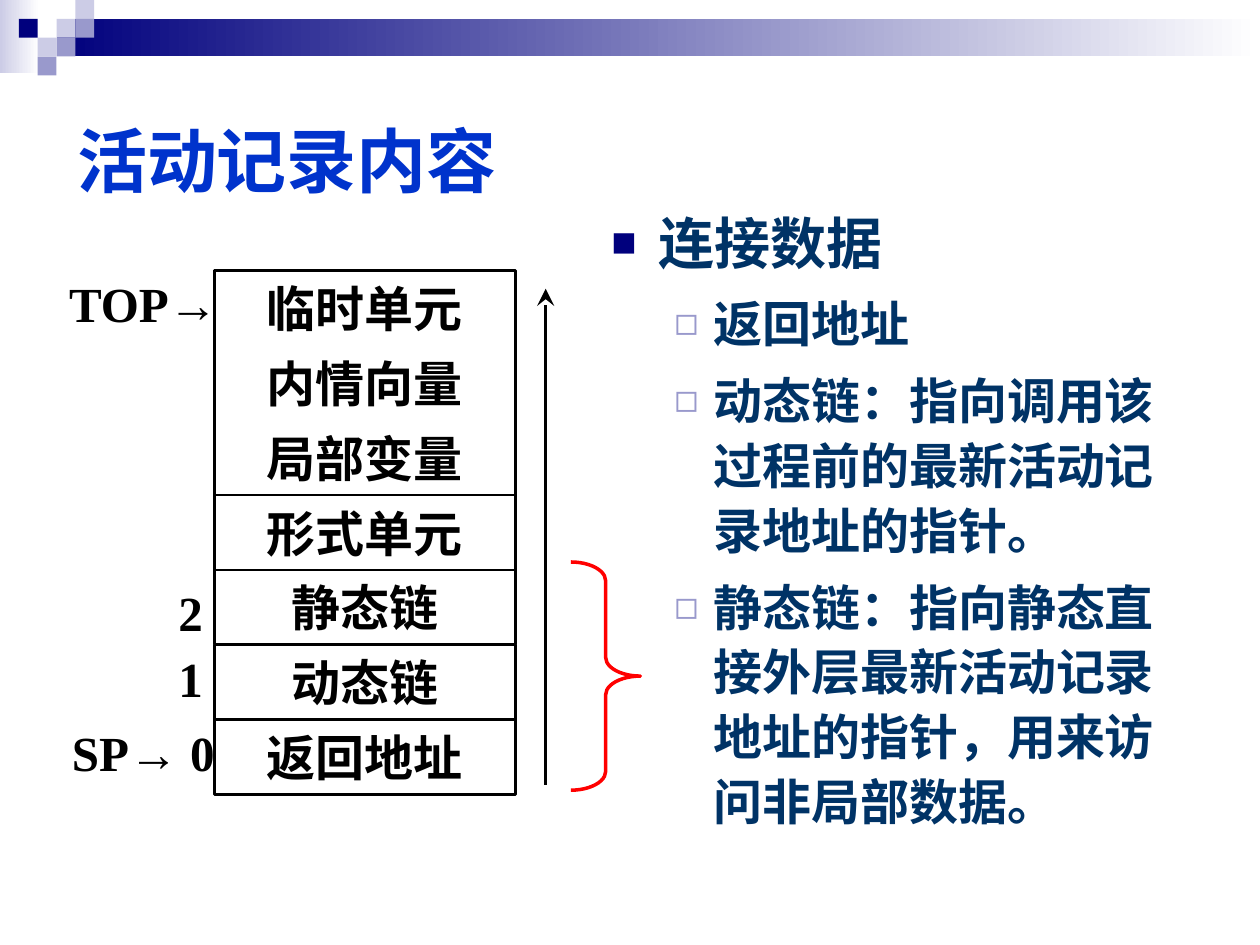
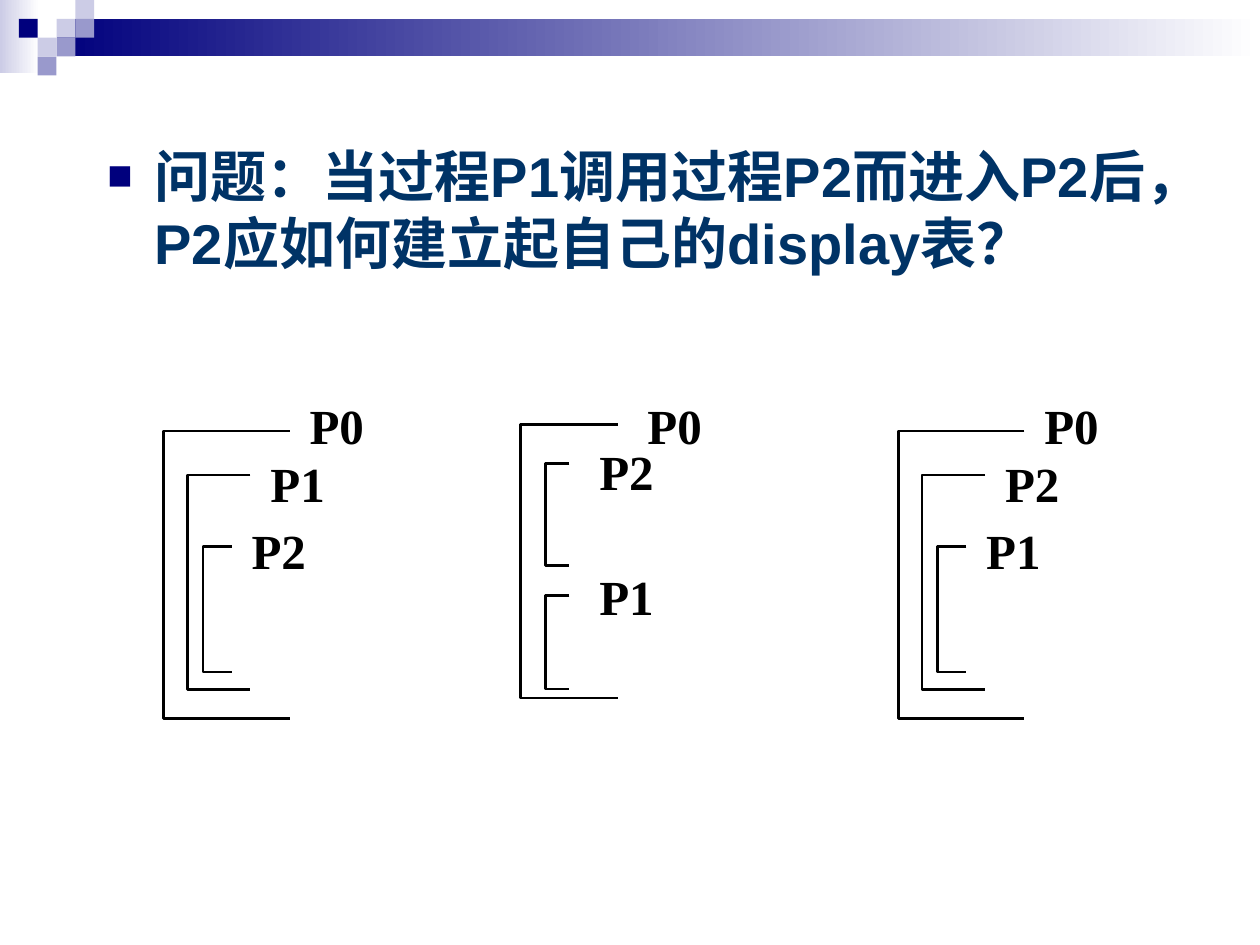
import pptx
import pptx.dml.color
import pptx.enum.dml
import pptx.enum.shapes
import pptx.enum.text
import pptx.oxml
import pptx.oxml.ns
import pptx.util

Cm = pptx.util.Cm
Pt = pptx.util.Pt
Kind = pptx.enum.shapes.MSO_SHAPE
Align = pptx.enum.text.PP_ALIGN
Anchor = pptx.enum.text.MSO_ANCHOR

NAVY, PALE, LILAC = "00007D", "CCCCE6", "9999CC"
BLUE, INK, BLACK, WHITE, RED = "0033CC", "003366", "000000", "FFFFFF", "FF0000"
SANS, SERIF = "Arial", "Times New Roman"

TILE = 0.38
TILES = [(3, 1, PALE), (4, 0, PALE), (4, 1, LILAC), (2, 2, PALE),
         (1, 1, NAVY), (3, 2, LILAC), (2, 3, LILAC)]
LEVELS = [
    dict(mark="■", tint=NAVY, part=75, left=0.95, hang=0.95, size=32, before=8),
    dict(mark="◻", tint=LILAC, part=80, left=2.06, hang=0.79, size=28, before=7),
]


def rgb(code):
    return pptx.dml.color.RGBColor.from_string(code)


def node(tag, **attrs):
    item = pptx.oxml.parse_xml(f"<a:{tag} {pptx.oxml.ns.nsdecls('a')}/>")
    for key, value in attrs.items():
        item.set(key, str(value))
    return item


def write(par, text, size=28, color=BLACK, font=SERIF, align=None):
    if align is not None:
        par.alignment = align
    parts = [(text, font)] if isinstance(text, str) else text
    for words, face in parts:
        run = par.add_run()
        run.text = words
        run.font.size = Pt(size)
        run.font.bold = True
        run.font.name = face
        run.font.color.rgb = rgb(color)


class Deck:
    def __init__(self):
        self.file = pptx.Presentation()
        self.file.slide_width = Cm(25.4)
        self.file.slide_height = Cm(19.05)

    def start(self):
        self.slide = self.file.slides.add_slide(self.file.slide_layouts[1])
        self.shapes = self.slide.shapes
        self.fade(0, 0, 0.79, 1.47, PALE)
        self.fade(1.14, TILE, 24.26, 0.76, NAVY)
        for col, row, color in TILES:
            tile = self.box(col * TILE, row * TILE, TILE, TILE, line=None)
            tile.fill.solid()
            tile.fill.fore_color.rgb = rgb(color)

    def place(self, item, x, y, w, h):
        item.left, item.top, item.width, item.height = Cm(x), Cm(y), Cm(w), Cm(h)

    def style(self, shape, line, width=1.5):
        shape.shadow.inherit = False
        shape.fill.background()
        if line:
            shape.line.color.rgb = rgb(line)
            shape.line.width = Pt(width)
        else:
            shape.line.fill.background()

    def box(self, x, y, w, h, line=BLACK, width=1.5, kind=Kind.RECTANGLE):
        shape = self.shapes.add_shape(kind, Cm(x), Cm(y), Cm(w), Cm(h))
        self.style(shape, line, width)
        return shape

    def fade(self, x, y, w, h, color):
        shape = self.box(x, y, w, h, line=None)
        shape.fill.gradient()
        shape.fill.gradient_angle = 0
        for stop, code in zip(shape.fill.gradient_stops, (color, WHITE)):
            stop.color.rgb = rgb(code)

    def fill(self, shape, text, align=Align.CENTER):
        frame = shape.text_frame
        frame.word_wrap = False
        frame.vertical_anchor = Anchor.MIDDLE
        write(frame.paragraphs[0], text, align=align)

    def label(self, x, y, w, h, text, align=Align.CENTER):
        shape = self.shapes.add_textbox(Cm(x), Cm(y), Cm(w), Cm(h))
        self.fill(shape, text, align)

    def title(self, text, x, y, w, h):
        item = self.slide.shapes.title
        self.place(item, x, y, w, h)
        item.text_frame.vertical_anchor = Anchor.MIDDLE
        write(item.text_frame.paragraphs[0], text, 40, BLUE, SANS, Align.LEFT)

    def drop(self):
        item = self.slide.shapes.title.element
        item.getparent().remove(item)

    def body(self, items, x, y, w, h, space=1.0):
        item = self.slide.placeholders[1]
        self.place(item, x, y, w, h)
        frame = item.text_frame
        frame.auto_size = pptx.enum.text.MSO_AUTO_SIZE.NONE
        frame.vertical_anchor = Anchor.TOP
        for n, (level, text) in enumerate(items):
            par = frame.add_paragraph() if n else frame.paragraphs[0]
            look = LEVELS[level]
            par.level = level
            self.mark(par, look)
            par.line_spacing = space
            par.space_before = Pt(look["before"] if n else 0)
            write(par, text, look["size"], INK, SANS, Align.LEFT)

    def mark(self, par, look):
        props = par._p.get_or_add_pPr()
        props.set("marL", str(Cm(look["left"])))
        props.set("indent", str(-Cm(look["hang"])))
        tint = node("buClr")
        tint.append(node("srgbClr", val=look["tint"]))
        props.append(tint)
        props.append(node("buSzPct", val=look["part"] * 1000))
        props.append(node("buFont", typeface=SANS))
        props.append(node("buChar", char=look["mark"]))

    def arrow(self, x, low, high):
        line = self.shapes.add_connector(
            pptx.enum.shapes.MSO_CONNECTOR.STRAIGHT, Cm(x), Cm(low), Cm(x), Cm(high))
        line.line.color.rgb = rgb(BLACK)
        line.line.width = Pt(1.5)
        head = node("tailEnd", type="stealth", w="lg", len="lg")
        line.line._get_or_add_ln().append(head)
        line._element.spPr.append(node("effectLst"))

    def hook(self, x, y, w, h):
        pen = self.shapes.build_freeform(Cm(x + w), Cm(y))
        pen.add_line_segments(
            [(Cm(x), Cm(y)), (Cm(x), Cm(y + h)), (Cm(x + w), Cm(y + h))], close=False)
        self.style(pen.convert_to_shape(), BLACK)

    def nest(self, x, y, form, names):
        self.shapes = self.slide.shapes.add_group_shape().shapes
        for (dx, dy, w, h, tx, ty), name in zip(form, names):
            self.hook(x + dx, y + dy, w, h)
            self.label(x + tx, y + ty, 2.3, 1.28, name)
        self.shapes = self.slide.shapes


def record(deck):
    deck.start()
    deck.title("活动记录内容", 1.3, 1.32, 22.86, 3.81)
    deck.body([
        (0, "连接数据"),
        (1, "返回地址"),
        (1, "动态链：指向调用该过程前的最新活动记录地址的指针。"),
        (1, "静态链：指向静态直接外层最新活动记录地址的指针，用来访问非局部数据。"),
    ], 12.07, 3.94, 11.63, 12.7, space=1.1)

    left, top, wide, high = 4.32, 5.45, 6.07, 1.51
    open_rows = ["临时单元", "内情向量", "局部变量"]
    cells = ["形式单元", "静态链", "动态链", "返回地址"]
    deck.box(left, top, wide, high * len(open_rows))
    for n, text in enumerate(open_rows):
        deck.label(left, top + n * high, wide, high, text)
    for n, text in enumerate(cells, len(open_rows)):
        deck.fill(deck.box(left, top + n * high, wide, high), text)

    deck.label(0.89, 5.44, 4, 1.32, [("TOP", SERIF), ("→", SANS)])
    deck.label(2.74, 11.68, 1.6, 1.32, "2", Align.RIGHT)
    deck.label(2.74, 13, 1.6, 1.32, "1", Align.RIGHT)
    deck.label(0.89, 14.5, 4, 1.32, [("SP", SERIF), ("→", SANS), (" 0", SERIF)])
    deck.arrow(11, 15.82, 5.82)
    brace = deck.box(11.51, 11.33, 1.4, 4.6, RED, 2, Kind.RIGHT_BRACE)
    brace.adjustments[0] = 0.27


def display(deck):
    deck.start()
    deck.drop()
    deck.body([(0, "问题：当过程P1调用过程P2而进入P2后，P2应如何建立起自己的display表？")],
              1.91, 2.72, 21.8, 3.18)
    deep = [(0, 0, 2.54, 5.79, 2.34, -0.76),
            (0.48, 0.89, 1.27, 4.32, 1.55, 0.41),
            (0.79, 2.33, 0.58, 2.53, 1.17, 1.75)]
    flat = [(0, 0, 1.96, 5.51, 1.96, -0.64),
            (0.51, 0.79, 0.48, 2.05, 0.99, 0.3),
            (0.51, 3.45, 0.48, 1.88, 0.99, 2.82)]
    deck.nest(3.3, 8.69, deep, ["P0", "P1", "P2"])
    deck.nest(10.49, 8.56, flat, ["P0", "P2", "P1"])
    deck.nest(18.11, 8.69, deep, ["P0", "P2", "P1"])


def main():
    deck = Deck()
    record(deck)
    display(deck)
    deck.file.save("out.pptx")


if __name__ == "__main__":
    main()
